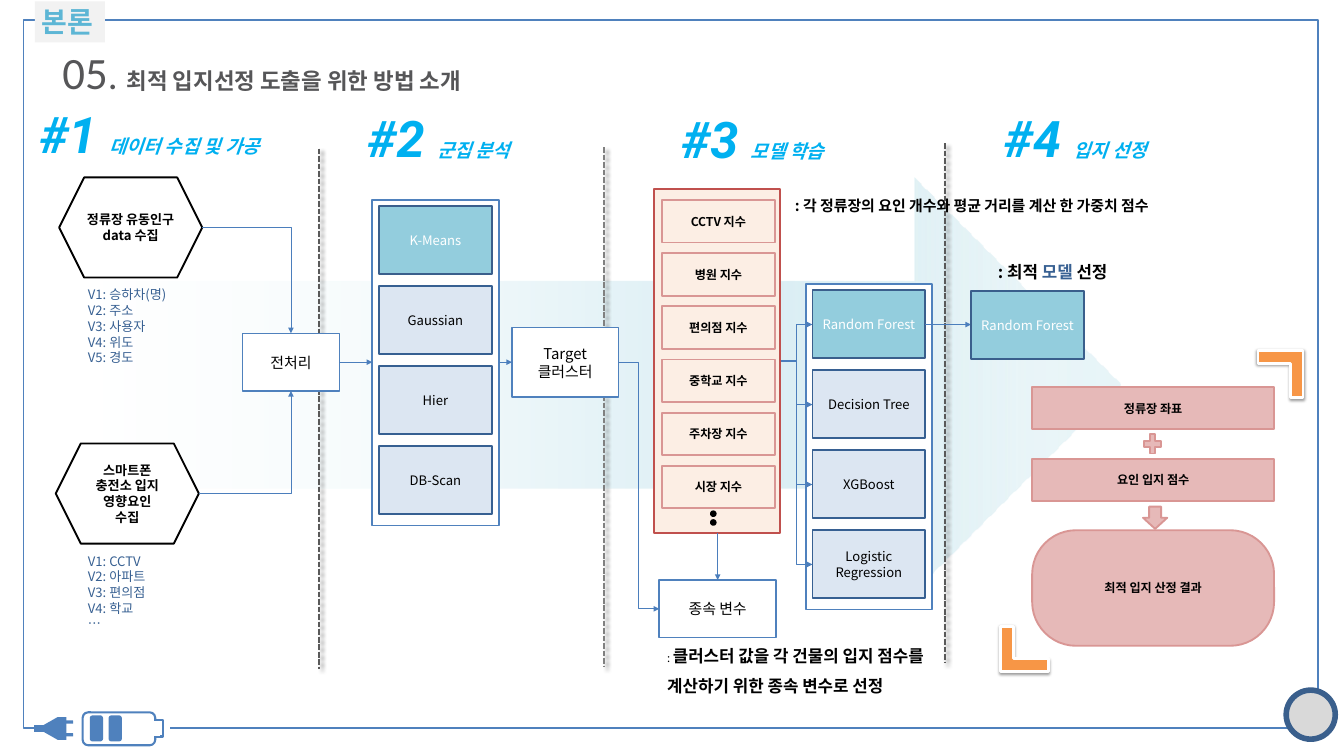
from lxml.etree import SubElement
from pptx import Presentation
from pptx.dml.color import RGBColor
from pptx.enum.dml import MSO_LINE
from pptx.enum.shapes import MSO_CONNECTOR, MSO_SHAPE
from pptx.enum.text import MSO_ANCHOR, PP_ALIGN
from pptx.oxml import parse_xml
from pptx.oxml.ns import nsdecls, qn
from pptx.util import Inches, Pt

FONT = "Noto Sans CJK KR"
COLORS = {
    "white": "FFFFFF", "black": "000000", "blue": "4F81BD", "navy": "376092",
    "edge": "3A5F8C", "arrow": "4B7EBC", "teal": "93CDDD", "pale": "DCE6F2",
    "red": "C0504D", "cream": "FCEEE4", "rose": "D99694", "pink": "E6B9B8",
    "orange": "F79646", "cyan": "00B0F0", "title": "565658", "badge": "5DB6D5",
    "light": "F2F2F2", "dash": "595959", "gray": "808080", "emblem": "D9D9D9",
}


def color(name):
    return RGBColor.from_string(COLORS[name])


def add_shadow(effects, opacity, blur, distance, angle):
    shadow = SubElement(effects, qn("a:outerShdw"), blurRad=str(Pt(blur)), dist=str(Pt(distance)),
                        dir=str(angle * 60000), algn="t", rotWithShape="0")
    shade = SubElement(shadow, qn("a:srgbClr"), val=COLORS["black"])
    SubElement(shade, qn("a:alpha"), val=str(opacity * 1000))


def add_box(slide, bounds, fill=None, line=None, width=2, kind=MSO_SHAPE.RECTANGLE,
            rotation=0, adjustments=()):
    shape = slide.shapes.add_shape(kind, *map(Inches, bounds))
    shape.shadow.inherit = False
    shape.rotation = rotation
    for index, value in enumerate(adjustments):
        shape.adjustments[index] = value
    if fill:
        shape.fill.solid()
        shape.fill.fore_color.rgb = color(fill)
    else:
        shape.fill.background()
    if line:
        shape.line.color.rgb = color(line)
        shape.line.width = Pt(width)
    else:
        shape.line.fill.background()
    return shape


def write_text(shape, paragraphs, size=14, ink="black", bold=False, italic=False, font=FONT,
               align=PP_ALIGN.CENTER, anchor=MSO_ANCHOR.MIDDLE, spacing=None, wrap=True):
    """Each paragraph is a string or a list of (text, overrides) runs."""
    frame = shape.text_frame
    frame.word_wrap = wrap
    frame.vertical_anchor = anchor
    for index, content in enumerate(paragraphs):
        paragraph = frame.paragraphs[0] if index == 0 else frame.add_paragraph()
        paragraph.alignment = align
        if spacing:
            paragraph.line_spacing = spacing
        for text, changes in [(content, {})] if isinstance(content, str) else content:
            run = paragraph.add_run()
            run.text = text
            run.font.size = Pt(changes.get("size", size))
            run.font.bold = changes.get("bold", bold)
            run.font.italic = italic
            run.font.color.rgb = color(changes.get("ink", ink))
            run.font.name = font
            SubElement(run.font._element, qn("a:ea"), typeface=FONT)


def add_label(slide, bounds, paragraphs, **text_format):
    text_box = slide.shapes.add_textbox(*map(Inches, bounds))
    write_text(text_box, paragraphs, align=PP_ALIGN.LEFT, anchor=MSO_ANCHOR.TOP, **text_format)


def add_line(slide, start, end, kind=MSO_CONNECTOR.STRAIGHT, ink="arrow", width=0.75):
    connector = slide.shapes.add_connector(kind, *map(Inches, (*start, *end)))
    connector.line.color.rgb = color(ink)
    connector.line.width = Pt(width)
    effects = SubElement(connector._element.spPr, qn("a:effectLst"))
    return connector, effects


def add_arrow(slide, start, end, kind=MSO_CONNECTOR.STRAIGHT, one_bend=False):
    connector, _ = add_line(slide, start, end, kind)
    properties = connector._element.spPr
    SubElement(properties.find(qn("a:ln")), qn("a:tailEnd"), type="triangle")
    if one_bend:
        properties.find(qn("a:prstGeom")).set("prst", "bentConnector2")


def add_divider(slide, x, top, ink):
    connector, effects = add_line(slide, (x, top), (x, top + 7.74), ink=ink, width=2)
    connector.line.dash_style = MSO_LINE.SQUARE_DOT
    add_shadow(effects, 40, 4, 4, 45)


def add_background_arrow(slide):
    shape = add_box(slide, (1.3, 2.64, 15.38, 6.16), kind=MSO_SHAPE.RIGHT_ARROW)
    stops = [(0, "FFFFFF", 100), (28, "F6FBFC", 100), (63, "DBEEF4", 100),
             (91, "CAE7EE", 40), (100, "BFE3EB", 37)]
    marks = "".join(f'<a:gs pos="{place * 1000}"><a:srgbClr val="{tint}">'
                    f'<a:alpha val="{opacity * 1000}"/></a:srgbClr></a:gs>'
                    for place, tint, opacity in stops)
    properties = shape._element.spPr
    properties.replace(properties.find(qn("a:noFill")), parse_xml(
        f'<a:gradFill {nsdecls("a")}><a:gsLst>{marks}</a:gsLst><a:lin ang="0" scaled="0"/></a:gradFill>'))


def add_plug_and_battery(slide):
    rounded = MSO_SHAPE.ROUNDED_RECTANGLE
    add_box(slide, (0.52, 10.71, 0.9, 0.25), "white")
    add_box(slide, (0.51, 10.79, 0.4, 0.1), "blue")
    add_box(slide, (0.54, 10.69, 0.34, 0.3), "blue", kind=MSO_SHAPE.ISOSCELES_TRIANGLE, rotation=270)
    add_box(slide, (0.86, 10.67, 0.13, 0.34), "blue")
    for top in (10.72, 10.91):
        add_box(slide, (0.85, top, 0.24, 0.05), "blue", kind=rounded)
    add_box(slide, (2.42, 10.73, 0.11, 0.28), "white")
    add_box(slide, (2.31, 10.72, 0.11, 0.24), "white", "blue", 2.25)
    add_box(slide, (1.23, 10.6, 1.08, 0.49), "white", "blue", 2.25, rounded)
    add_box(slide, (2.23, 10.73, 0.15, 0.22), "white")
    for left in (1.35, 1.63):
        add_box(slide, (left, 10.66, 0.17, 0.36), "blue", "blue", kind=rounded)


def add_method(slide, left, top, name, chosen=False):
    fill, line, ink = ("teal", "edge", "white") if chosen else ("pale", "navy", "black")
    write_text(add_box(slide, (left, top, 1.68, 1.01), fill, line), [name], ink=ink)


def add_method_panel(slide, left, top, names):
    """The first method in the panel is the chosen one."""
    add_box(slide, (left, top, 1.88, 4.85), "white", "blue")
    for index, name in enumerate(names):
        add_method(slide, left + 0.1, top + 0.1 + 1.19 * index, name, index == 0)


def add_step(slide, bounds, lines):
    write_text(add_box(slide, bounds, "white", "blue", 1.5), lines, size=16)


def add_source(slide, left, top, lines, variables):
    hexagon = add_box(slide, (left, top, 2.13, 1.49), "white", "black", kind=MSO_SHAPE.HEXAGON)
    write_text(hexagon, lines, bold=True)
    add_label(slide, (1.21, top + 1.58, 2.61, 1.79), variables, ink="navy")


def add_index_panel(slide):
    add_box(slide, (9.73, 2.81, 1.88, 5.12), "cream", "red")
    names = ("CCTV", "병원", "편의점", "중학교", "주차장", "시장")
    for index, name in enumerate(names):
        box = add_box(slide, (9.85, 2.98 + 0.79 * index, 1.68, 0.63), line="rose")
        write_text(box, [f"{name} 지수"], size=13, bold=True)
    for top in (7.61, 7.74):
        add_box(slide, (10.58, top, 0.07, 0.07), "black", "black", kind=MSO_SHAPE.OVAL)


def add_result(slide):
    results = [("정류장 좌표", 5.76, 0.63, MSO_SHAPE.RECTANGLE, ()),
               ("요인 입지 점수", 6.83, 0.63, MSO_SHAPE.RECTANGLE, ()),
               ("최적 입지 산정 결과", 7.89, 1.72, MSO_SHAPE.ROUNDED_RECTANGLE, (0.38,))]
    for name, top, height, kind, adjustments in results:
        box = add_box(slide, (15.36, top, 3.6, height), "pink", "rose", kind=kind, adjustments=adjustments)
        write_text(box, [name], size=13, bold=True)
    add_box(slide, (16.97, 6.41, 0.36, 0.39), "pink", "rose", kind=MSO_SHAPE.MATH_PLUS)
    add_box(slide, (17.01, 7.54, 0.36, 0.33), "pink", "rose", kind=MSO_SHAPE.DOWN_ARROW)
    for left, top, rotation in ((14.89, 9.32, 0), (18.7, 5.23, 90)):
        corner = add_box(slide, (left, top, 0.71, 0.67), "orange", "white", 3,
                         MSO_SHAPE.CORNER, rotation, (0.28, 0.29))
        if rotation:
            corner._element.spPr.find(qn("a:xfrm")).set("flipV", "1")
        add_shadow(corner._element.spPr.find(qn("a:effectLst")), 38, 3.1, 1.6, 90)


def main():
    presentation = Presentation()
    presentation.slide_width, presentation.slide_height = Inches(20), Inches(11.25)
    slide = presentation.slides.add_slide(presentation.slide_layouts[6])
    elbow = MSO_CONNECTOR.ELBOW

    add_background_arrow(slide)
    for x, top, ink in ((14.06, 2.13, "dash"), (4.75, 2.21, "dash"), (8.99, 2.19, "gray")):
        add_divider(slide, x, top, ink)
    add_box(slide, (0.35, 0.3, 19.26, 10.53), line="blue")
    badge = add_box(slide, (0.52, 0.02, 1.04, 0.61), "light")
    write_text(badge, ["본론"], size=30, ink="badge", bold=True, wrap=False,
               align=PP_ALIGN.LEFT, anchor=MSO_ANCHOR.TOP)
    add_plug_and_battery(slide)

    add_source(slide, 0.88, 2.64, ["정류장 유동인구 data 수집"],
               ["V1: 승하차(명)", "V2: 주소", "V3: 사용자", "V4: 위도", "V5: 경도"])
    add_source(slide, 0.83, 6.6, ["스마트폰", "충전소 입지 영향요인", "수집"],
               ["V1: CCTV", "V2: 아파트", "V3: 편의점", "V4: 학교", "…"])
    add_step(slide, (3.61, 4.96, 1.44, 0.86), ["전처리"])
    add_arrow(slide, (3.01, 3.38), (4.33, 4.96), elbow, one_bend=True)
    add_arrow(slide, (2.96, 7.34), (4.33, 5.82), elbow, one_bend=True)

    add_method_panel(slide, 5.54, 2.97, ["K-Means", "Gaussian", "Hier", "DB-Scan"])
    add_arrow(slide, (5.05, 5.39), (5.54, 5.39))
    add_step(slide, (7.62, 4.87, 1.58, 1.04), ["Target", "클러스터"])
    add_arrow(slide, (7.43, 5.39), (7.62, 5.39))

    add_step(slide, (9.81, 8.63, 1.74, 0.86), ["종속 변수"])
    add_arrow(slide, (9.2, 5.39), (9.81, 9.06), elbow)
    add_index_panel(slide)
    add_arrow(slide, (10.68, 7.93), (10.68, 8.63))
    add_label(slide, (11.73, 2.87, 6.05, 0.37),
              [": 각 정류장의 요인 개수와 평균 거리를 계산 한 가중치 점수"], size=16, bold=True)
    add_label(slide, (9.83, 9.41, 4.69, 0.95),
              [[(": ", {"size": 12, "bold": False}), ("클러스터 값을 각 건물의 입지 점수를", {})],
               "계산하기 위한 종속 변수로 선정"], size=18, bold=True, spacing=1.5)
    models = ["Random Forest", "Decision Tree", "XGBoost", "Logistic Regression"]
    add_method_panel(slide, 11.99, 4.22, models)
    for index in range(len(models)):
        add_arrow(slide, (11.62, 5.37), (12.09, 4.83 + 1.19 * index), elbow)

    add_arrow(slide, (13.77, 4.83), (14.45, 4.83))
    add_label(slide, (14.75, 3.84, 4.14, 0.4),
              [[(": 최적 ", {}), ("모델", {"ink": "navy"}), (" 선정", {})]], size=18, bold=True)
    add_method(slide, 14.45, 4.33, models[0], chosen=True)
    add_result(slide)

    headings = [(0.49, 1.49, 3.88, "데이터 수집 및 가공"), (5.37, 1.55, 2.69, "군집 분석"),
                (10.04, 1.56, 2.81, "모델 학습"), (14.84, 1.55, 2.51, "입지 선정")]
    for number, (left, top, width, name) in enumerate(headings, 1):
        add_label(slide, (left, top, width, 1.01), [[(f"#{number} ", {"size": 54}), (name, {})]],
                  size=20, ink="cyan", bold=True, italic=True, font="Roboto")
    add_label(slide, (0.83, 0.62, 6.59, 0.91),
              [[("05", {"size": 48}), (". ", {"size": 42}),
                ("최적 입지선정 도출을 위한 방법 소개", {"size": 24, "bold": True})]],
              ink="title", font="Calibri", wrap=False)
    add_box(slide, (19.14, 10.27, 0.73, 0.73), "emblem", "edge", 6, MSO_SHAPE.OVAL)
    presentation.save("out.pptx")


if __name__ == "__main__":
    main()
